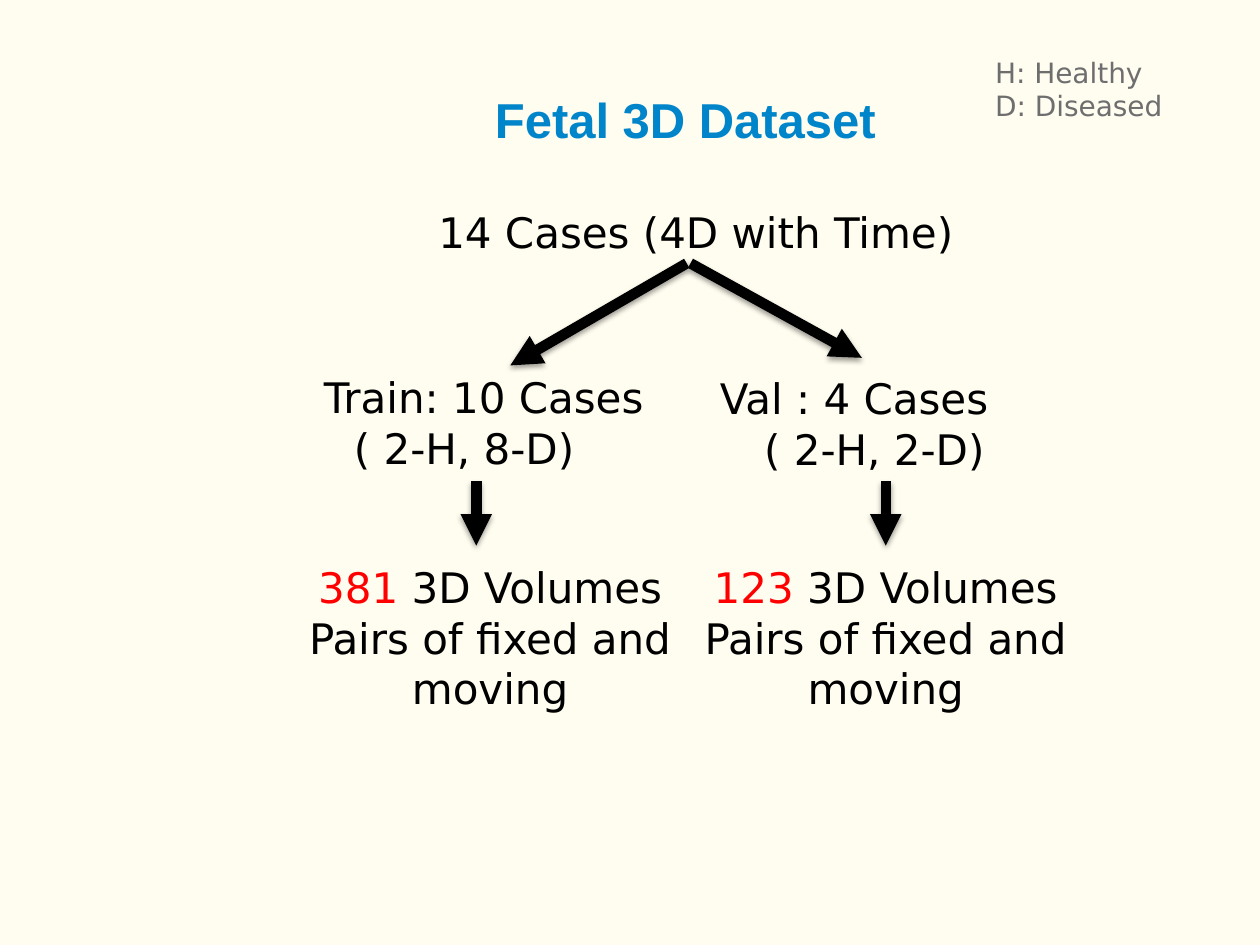
from lxml import etree
from pptx import Presentation
from pptx.dml.color import RGBColor
from pptx.enum import shapes, text
from pptx.oxml import parse_xml
from pptx.oxml.ns import nsdecls, qn
from pptx.util import Inches, Pt

BLACK, RED, BLUE, GREY = "000000", "FF0000", "0085CA", "6E6E6F"
LEFT, CENTER, JUSTIFY = (
    text.PP_ALIGN.LEFT, text.PP_ALIGN.CENTER, text.PP_ALIGN.JUSTIFY)
BODY = {"name": "DejaVu Sans", "size": Pt(24), "bold": False}
TITLE = {"name": "Arial", "size": Pt(28), "bold": True}
LEGEND = {**BODY, "size": Pt(16)}


def volumes(count):
    return [(CENTER, 0, [(count, RED), (" 3D Volumes", BLACK)]),
            (CENTER, 0, [("Pairs of fixed and moving", BLACK)])]


BOXES = [
    ((3.83, 0.66, 3.97, 0.57), TITLE, True,
     [(JUSTIFY, 0, [("Fetal 3D Dataset", BLUE)])]),
    ((3.38, 1.59, 5.95, 0.5), BODY, True,
     [(LEFT, 0, [("14 Cases (4D with Time)", BLACK)])]),
    ((2.29, 2.9, 3.1, 0.91), BODY, True,
     [(CENTER, 0, [("Train: 10 Cases", BLACK)]),
      (LEFT, 0.42, [("( 2-H, 8-D)", BLACK)])]),
    ((5.48, 2.91, 2.6, 0.91), BODY, True,
     [(CENTER, 0, [("Val : 4 Cases", BLACK)]),
      (CENTER, 0.32, [("( 2-H, 2-D)", BLACK)])]),
    ((2.34, 4.41, 3.1, 1.31), BODY, True, volumes("381")),
    ((5.48, 4.41, 3.1, 1.31), BODY, True, volumes("123")),
    ((7.8, 0.39, 1.57, 0.64), LEGEND, False,
     [(LEFT, 0, [("H: Healthy", GREY)]),
      (LEFT, 0, [("D: Diseased", GREY)])]),
]
ARROWS = [
    (5.45, 2.09, 4.05, 2.9),
    (5.48, 2.09, 6.84, 2.84),
    (3.78, 3.82, 3.78, 4.33),
    (7.03, 3.82, 7.03, 4.33),
]
SHADOW = (
    f'<a:effectLst {nsdecls("a")}>'
    '<a:outerShdw blurRad="40000" dist="20000" dir="5400000" rotWithShape="0">'
    '<a:srgbClr val="000000"><a:alpha val="38000"/></a:srgbClr>'
    '</a:outerShdw></a:effectLst>')


def color(value):
    return RGBColor.from_string(value)


def add_text(page, place, font, wrap, lines):
    box = page.shapes.add_textbox(*map(Inches, place))
    frame = box.text_frame
    frame.word_wrap = wrap
    frame.auto_size = text.MSO_AUTO_SIZE.SHAPE_TO_FIT_TEXT
    for index, (align, indent, spans) in enumerate(lines):
        para = frame.add_paragraph() if index else frame.paragraphs[0]
        para.alignment = align
        if indent:
            para._p.get_or_add_pPr().set("marL", str(Inches(indent)))
        for words, shade in spans:
            span = para.add_run()
            span.text = words
            for key, value in font.items():
                setattr(span.font, key, value)
            span.font.color.rgb = color(shade)


def add_arrow(page, ends):
    arrow = page.shapes.add_connector(
        shapes.MSO_CONNECTOR.STRAIGHT, *map(Inches, ends))
    arrow.line.width = Pt(6)
    arrow.line.color.rgb = color(BLACK)
    etree.SubElement(arrow.line._get_or_add_ln(), qn("a:tailEnd"), type="triangle")
    arrow._element.spPr.append(parse_xml(SHADOW))


def main():
    deck = Presentation()
    deck.slide_width, deck.slide_height = Inches(10), Inches(7.5)
    page = deck.slides.add_slide(deck.slide_layouts[6])
    page.background.fill.solid()
    page.background.fill.fore_color.rgb = color("FFFDF0")
    for box in BOXES:
        add_text(page, *box)
    for ends in ARROWS:
        add_arrow(page, ends)
    deck.save("out.pptx")


if __name__ == "__main__":
    main()
